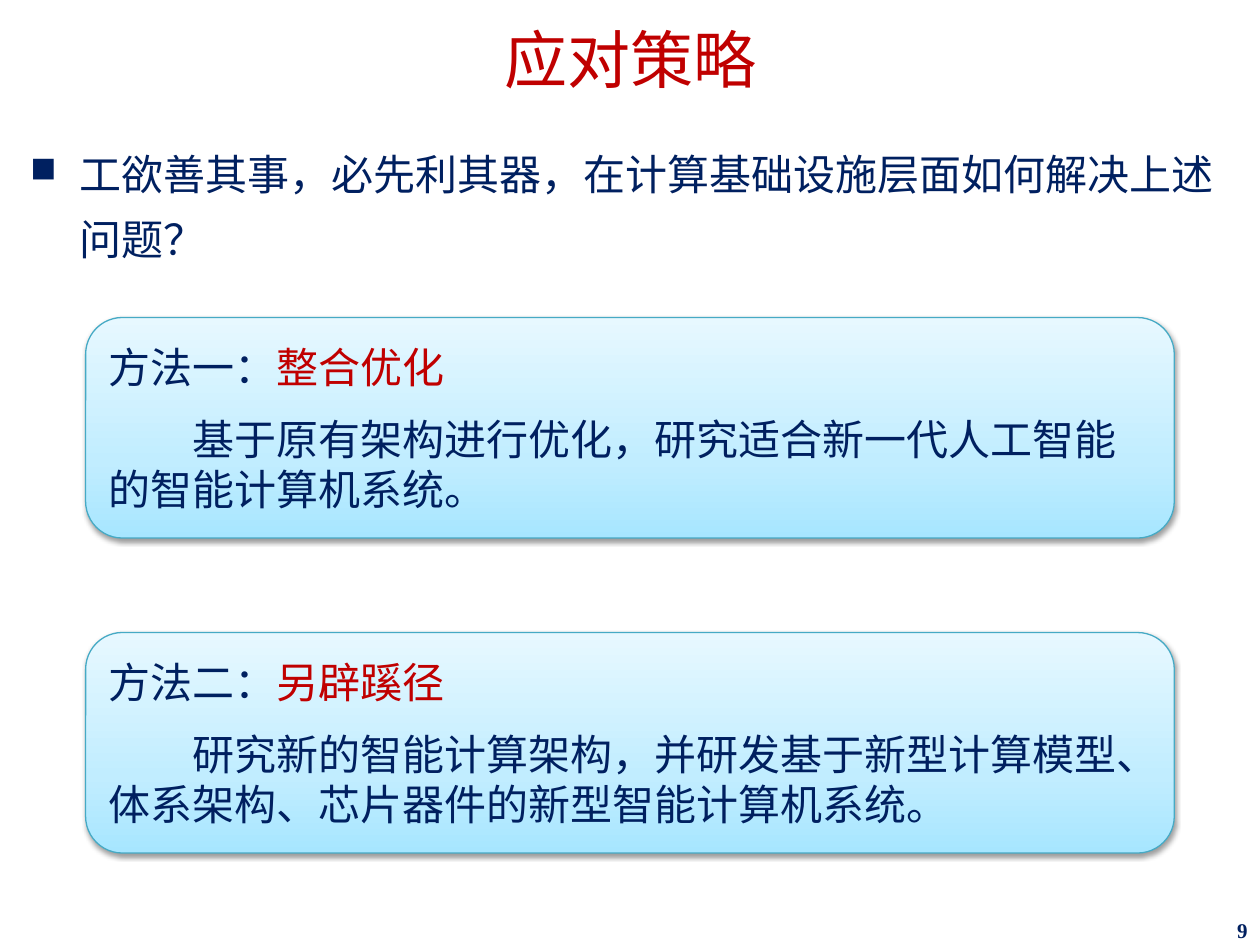
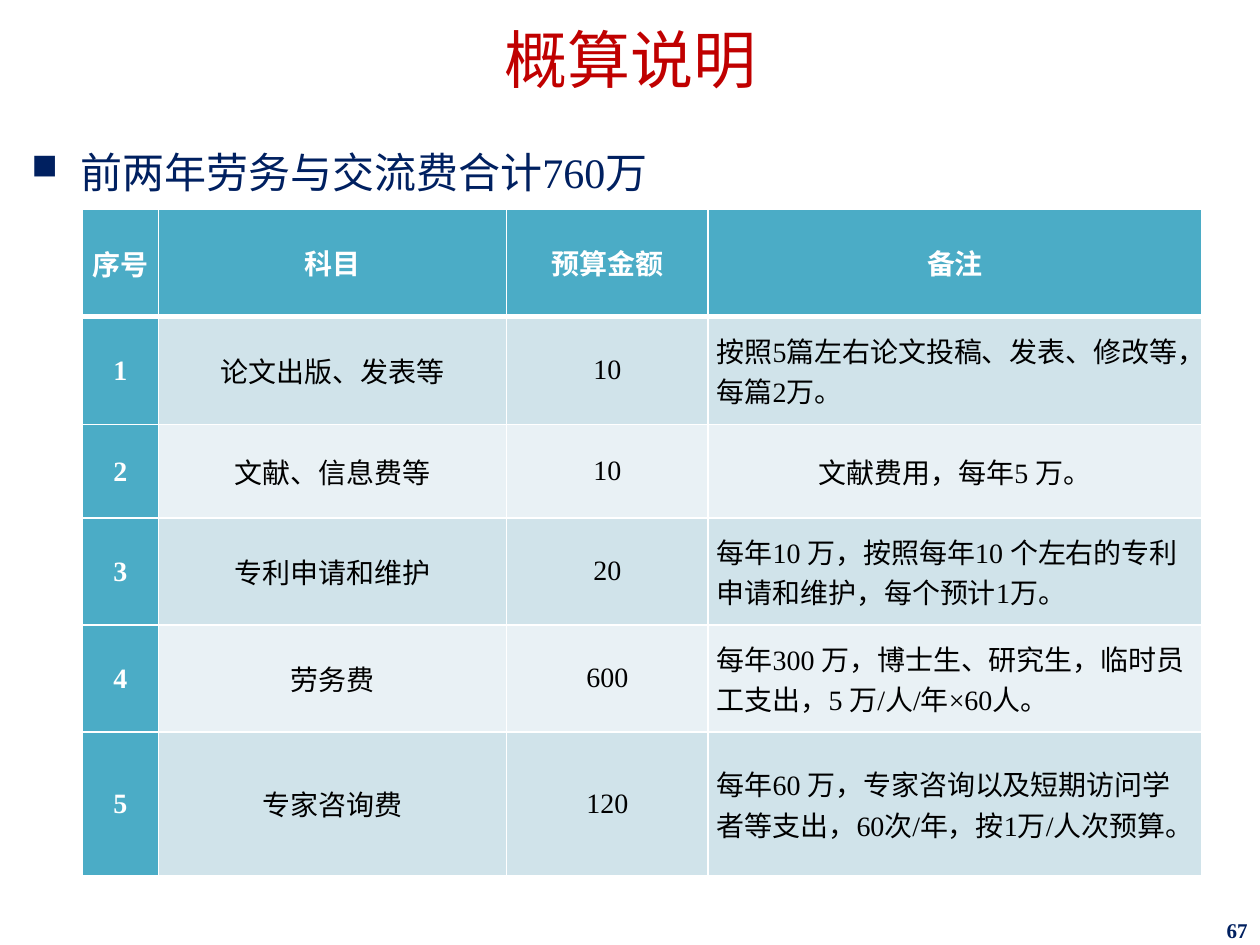
from dataclasses import dataclass

from lxml import etree
from pptx import Presentation
from pptx import util as u
from pptx.dml.color import RGBColor
from pptx.enum import lang, shapes, text
from pptx.oxml import parse_xml
from pptx.oxml import ns

NAMESPACE = ns.nsdecls("a")
CENTER, LEFT, RIGHT = text.PP_ALIGN.CENTER, text.PP_ALIGN.LEFT, text.PP_ALIGN.RIGHT


@dataclass(frozen=True)
class Theme:
    font: str = "Times New Roman"
    navy: str = "002060"
    red: str = "C00000"
    white: str = "FFFFFF"
    black: str = "000000"
    teal: str = "4BACC6"
    card_line: str = "46AAC5"
    card_stops: tuple = ((0, "A7E6FF"), (35, "C1EDFF"), (100, "E7F8FF"))
    bands: tuple = ("D0E3EA", "E9F1F5")
    title_size: int = 36
    body_size: int = 24
    table_size: int = 16
    number_size: int = 12


def add_text(paragraph, content, *, size, color, font, bold=False, align=LEFT,
             line_spacing=None, after=None):
    paragraph.alignment = align
    if line_spacing:
        paragraph.line_spacing = line_spacing
    if after:
        paragraph.space_after = u.Pt(after)
    run = paragraph.add_run()
    run.text = content
    run.font.name = font
    run.font.size = u.Pt(size)
    run.font.bold = bold
    run.font.color.rgb = RGBColor.from_string(color)
    run.font.language_id = lang.MSO_LANGUAGE_ID.SIMPLIFIED_CHINESE


def set_frame(frame, insets=(0.1, 0.05, 0.1, 0.05), anchor=text.MSO_ANCHOR.MIDDLE):
    frame.word_wrap = True
    frame.auto_size = text.MSO_AUTO_SIZE.NONE
    frame.vertical_anchor = anchor
    (frame.margin_left, frame.margin_top,
     frame.margin_right, frame.margin_bottom) = map(u.Inches, insets)


def set_borders(cell, color, widths):
    properties = cell._tc.get_or_add_tcPr()
    for index, (side, width) in enumerate(zip("LRTB", widths)):
        properties.insert(index, parse_xml(
            f'<a:ln{side} {NAMESPACE} w="{u.Pt(width)}"><a:solidFill>'
            f'<a:srgbClr val="{color}"/></a:solidFill></a:ln{side}>'))


class Deck:
    def __init__(self, theme):
        self.theme = theme
        self.presentation = Presentation()
        self.presentation.slide_width = u.Inches(10)
        self.presentation.slide_height = u.Inches(7.5)
        self.slide = None

    def add_styled(self, paragraph, content, **options):
        style = {"size": self.theme.body_size, "color": self.theme.navy,
                 "font": self.theme.font}
        add_text(paragraph, content, **{**style, **options})

    def text_box(self, left, top, width, height):
        return self.slide.shapes.add_textbox(*map(u.Inches, (left, top, width, height))).text_frame

    def add_slide(self, title, number):
        self.slide = self.presentation.slides.add_slide(self.presentation.slide_layouts[5])
        placeholder = self.slide.shapes.title
        placeholder.left = placeholder.top = 0
        placeholder.width, placeholder.height = u.Inches(10), u.Inches(0.89)
        set_frame(placeholder.text_frame, (0.1, 0.16, 0.1, 0.05))
        self.add_styled(placeholder.text_frame.paragraphs[0], title, size=self.theme.title_size,
                        color=self.theme.red, align=CENTER, line_spacing=0.9)
        frame = self.text_box(7.75, 7.28, 2.25, 0.22)
        set_frame(frame, (0.1, 0.04, 0.1, 0.05))
        self.add_styled(frame.paragraphs[0], str(number), size=self.theme.number_size,
                        bold=True, align=RIGHT)

    def add_bullet(self, content, left, top):
        frame = self.text_box(left, top, 9.72, 6.17)
        set_frame(frame, anchor=text.MSO_ANCHOR.TOP)
        paragraph = frame.paragraphs[0]
        properties = paragraph._p.get_or_add_pPr()
        properties.set("marL", str(u.Inches(0.39)))
        properties.set("indent", str(-u.Inches(0.39)))
        etree.SubElement(properties, ns.qn("a:buSzPct")).set("val", "85000")
        etree.SubElement(properties, ns.qn("a:buChar")).set("char", "■")
        self.add_styled(paragraph, content, line_spacing=1.3)

    def add_card(self, top, label, name, description):
        card = self.slide.shapes.add_shape(
            shapes.MSO_SHAPE.ROUNDED_RECTANGLE,
            *map(u.Inches, (0.68, top, 8.64, 1.75)))
        stops = "".join(f'<a:gs pos="{position * 1000}"><a:srgbClr val="{color}"/></a:gs>'
                        for position, color in self.theme.card_stops)
        properties = card._element.spPr
        properties.insert(2, parse_xml(
            f'<a:gradFill {NAMESPACE} rotWithShape="1"><a:gsLst>{stops}</a:gsLst>'
            '<a:lin ang="16200000" scaled="1"/></a:gradFill>'))
        card.line.color.rgb = RGBColor.from_string(self.theme.card_line)
        card.line.width = u.Pt(0.75)
        card.shadow.inherit = False
        properties.find(ns.qn("a:effectLst")).append(parse_xml(
            f'<a:outerShdw {NAMESPACE} blurRad="{u.Pt(3.1)}" dist="{u.Pt(1.6)}" '
            f'dir="5400000" rotWithShape="0"><a:srgbClr val="{self.theme.black}">'
            '<a:alpha val="38000"/></a:srgbClr></a:outerShdw>'))
        frame = card.text_frame
        set_frame(frame)
        heading = frame.paragraphs[0]
        self.add_styled(heading, label, after=12)
        self.add_styled(heading, name, color=self.theme.red)
        paragraph = frame.add_paragraph()
        paragraph._p.get_or_add_pPr().set("indent", str(u.Pt(2 * self.theme.body_size)))
        self.add_styled(paragraph, description)

    def add_table(self, rows, widths, heights, centered_notes):
        theme = self.theme
        table = self.slide.shapes.add_table(
            len(rows), len(widths),
            *map(u.Inches, (0.65, 1.66, sum(widths), sum(heights)))).table
        for column, width in zip(table.columns, widths):
            column.width = u.Inches(width)
        for row, height in zip(table.rows, heights):
            row.height = u.Inches(height)
        for row_index, row in enumerate(rows):
            for column_index, content in enumerate(row):
                cell = table.cell(row_index, column_index)
                heading = row_index == 0 or column_index == 0
                note = row_index > 0 and column_index == len(widths) - 1
                cell.fill.solid()
                cell.fill.fore_color.rgb = RGBColor.from_string(
                    theme.teal if heading else theme.bands[(row_index - 1) % 2])
                cell.vertical_anchor = text.MSO_ANCHOR.MIDDLE
                cell.margin_left = cell.margin_right = u.Inches(0.07 if column_index else 0.01)
                cell.margin_top = u.Inches(0 if column_index else 0.01)
                cell.margin_bottom = 0
                set_borders(cell, theme.white,
                            (1, 1, 3 if row_index == 1 else 1, 3 if row_index == 0 else 1))
                self.add_styled(cell.text_frame.paragraphs[0], content, size=theme.table_size,
                                color=theme.white if heading else theme.black, bold=heading,
                                align=LEFT if note and row_index not in centered_notes else CENTER)


METHODS = (
    ("方法一：", "整合优化", "基于原有架构进行优化，研究适合新一代人工智能的智能计算机系统。"),
    ("方法二：", "另辟蹊径",
     "研究新的智能计算架构，并研发基于新型计算模型、体系架构、芯片器件的新型智能计算机系统。"),
)
BUDGET = (
    ("序号", "科目", "预算金额", "备注"),
    ("1", "论文出版、发表等", "10", "按照5篇左右论文投稿、发表、修改等，每篇2万。"),
    ("2", "文献、信息费等", "10", "文献费用，每年5 万。"),
    ("3", "专利申请和维护", "20", "每年10 万，按照每年10 个左右的专利申请和维护，每个预计1万。"),
    ("4", "劳务费", "600", "每年300 万，博士生、研究生，临时员工支出，5 万/人/年×60人。"),
    ("5", "专家咨询费", "120",
     "每年60 万，专家咨询以及短期访问学者等支出，60次/年，按1万/人次预算。"),
)


def main():
    deck = Deck(Theme())
    deck.add_slide("应对策略", 9)
    deck.add_bullet("工欲善其事，必先利其器，在计算基础设施层面如何解决上述问题？", 0.14, 1.01)
    for index, method in enumerate(METHODS):
        deck.add_card(2.52 + 2.5 * index, *method)

    deck.add_slide("概算说明", 67)
    deck.add_bullet("前两年劳务与交流费合计760万", 0.15, 0.99)
    deck.add_table(BUDGET, (0.61, 2.76, 1.6, 3.92),
                   (0.85, 0.86, 0.74, 0.85, 0.85, 1.14), centered_notes={2})
    deck.presentation.save("out.pptx")


if __name__ == "__main__":
    main()
